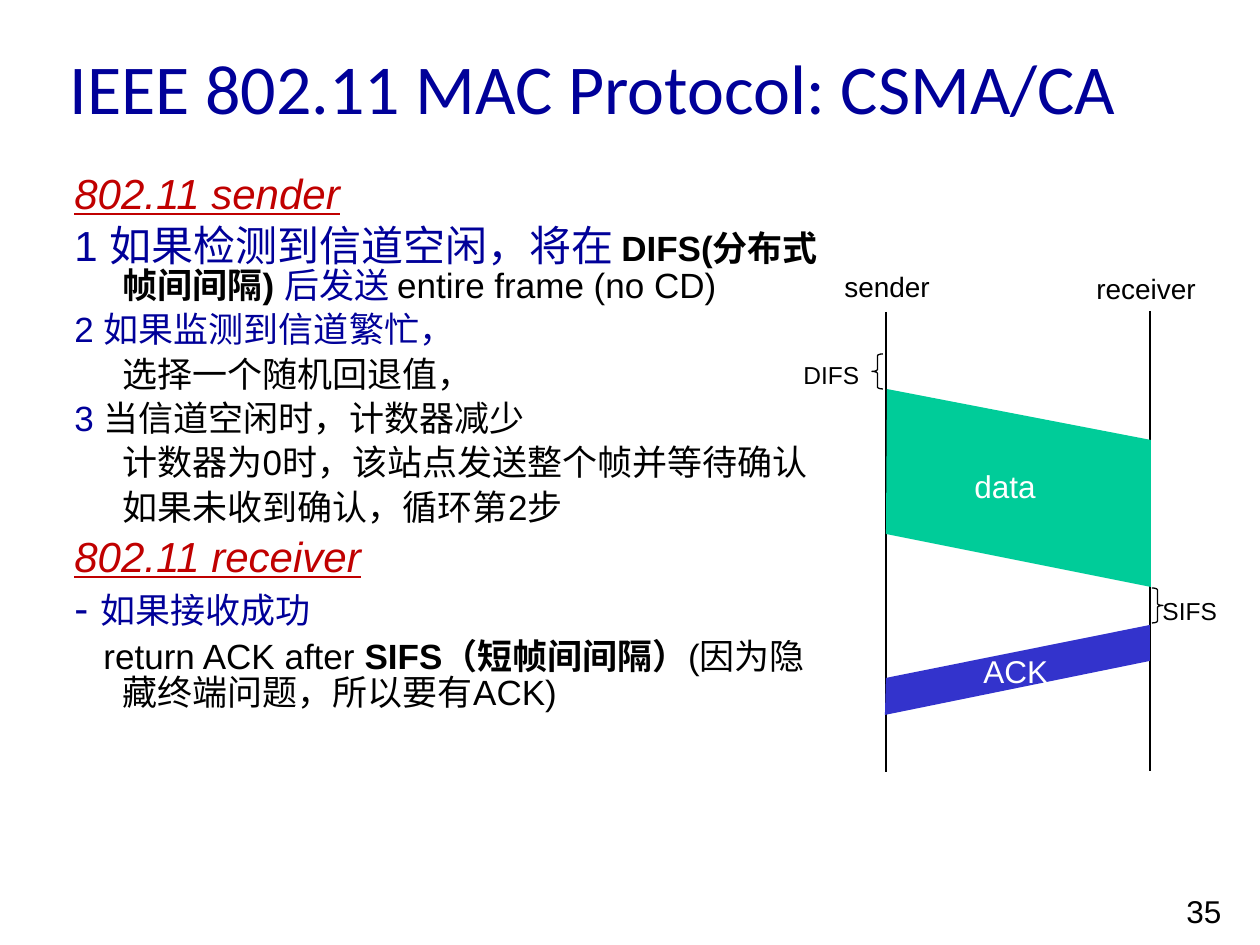
"""Build a slide on the 802.11 CSMA/CA exchange between sender and receiver."""
from dataclasses import dataclass

from lxml import etree
from pptx import Presentation
from pptx.dml.color import RGBColor
from pptx.enum.shapes import MSO_CONNECTOR, MSO_SHAPE
from pptx.enum.text import MSO_ANCHOR, MSO_AUTO_SIZE, PP_ALIGN
from pptx.oxml.ns import qn
from pptx.util import Emu, Pt

LINE = MSO_CONNECTOR.STRAIGHT
LEFT, RIGHT = MSO_SHAPE.LEFT_BRACE, MSO_SHAPE.RIGHT_BRACE
MIDDLE, TOP = MSO_ANCHOR.MIDDLE, MSO_ANCHOR.TOP
FIXED = MSO_AUTO_SIZE.NONE
START = PP_ALIGN.LEFT
SCALE = 914400 / 126


@dataclass(frozen=True)
class Theme:
    """Colours, fonts and type sizes of the slide."""

    ink: str = "000000"
    navy: str = "000099"
    red: str = "C00000"
    green: str = "00CC99"
    blue: str = "3333CC"
    white: str = "FFFFFF"
    face: str = "Arial"
    display: str = "Calibri"
    title: int = 40
    head: int = 24
    body: int = 20
    large: int = 18
    label: int = 16
    small: int = 14
    rule: float = 0.75
    pitch: float = 0.85


def px(size):
    """Turn pixels into EMU."""
    return Emu(round(size * SCALE))


def apply(target, values):
    """Set each named value on the target."""
    for name, value in values.items():
        setattr(target, name, value)


class Deck:
    """Hold the theme and the current slide, and draw its elements."""

    def __init__(self, theme):
        """Open a blank deck with one titled slide."""
        self.theme = theme
        self.file = Presentation()
        apply(self.file, {"slide_width": px(1260), "slide_height": px(945)})
        self.slide = self.file.slides.add_slide(self.file.slide_layouts[5])
        self.shapes = self.slide.shapes

    def run(self, para, text, size, color, face=None, **more):
        """Add one formatted run to a paragraph."""
        font = para.add_run()
        font.text = text
        font = font.font
        apply(font, {"name": face or self.theme.face, "size": Pt(size), **more})
        font.color.rgb = RGBColor.from_string(color)

    def title(self, text, box):
        """Fill and place the title."""
        shape = self.shapes.title
        apply(shape, dict(zip(("left", "top", "width", "height"), map(px, box))))
        frame = shape.text_frame
        apply(frame, {"vertical_anchor": MIDDLE, "auto_size": FIXED})
        para = frame.paragraphs[0]
        para.alignment = START
        theme = self.theme
        self.run(para, text, theme.title, theme.navy, theme.display)

    def frame(self, box, wrap):
        """Add a text box and return its frame."""
        frame = self.shapes.add_textbox(*map(px, box)).text_frame
        apply(frame, {"word_wrap": wrap, "vertical_anchor": TOP, "auto_size": FIXED})
        return frame

    def label(self, text, box, size, color):
        """Add a short label on one line."""
        self.run(self.frame(box, False).paragraphs[0], text, size, color)

    def body(self, box, rows):
        """Add paragraphs given as first-line indent, space before and runs."""
        frame = self.frame(box, True)
        for spot, (indent, space, runs) in enumerate(rows):
            para = frame.add_paragraph() if spot else frame.paragraphs[0]
            values = {"line_spacing": self.theme.pitch, "alignment": START}
            if spot:
                values["space_before"] = Pt(space)
            apply(para, values)
            props = para._p.get_or_add_pPr()
            props.set("marL", str(px(48)))
            props.set("indent", str(px(indent)))
            for text, form in runs:
                self.run(para, text, **form)

    def line(self, left, top, foot):
        """Draw an upright time line."""
        line = self.shapes.add_connector(LINE, *map(px, (left, top, left, foot)))
        self.stroke(line)
        etree.SubElement(line._element.spPr, qn("a:effectLst"))

    def stroke(self, shape):
        """Give a shape the thin dark line."""
        shape.line.color.rgb = RGBColor.from_string(self.theme.ink)
        shape.line.width = Pt(self.theme.rule)

    def brace(self, kind, left, top):
        """Draw a small brace beside a time line."""
        shape = self.shapes.add_shape(kind, *map(px, (left, top, 11, 35)))
        shape.shadow.inherit = False
        shape.adjustments[0] = 0.17
        shape.fill.background()
        self.stroke(shape)

    def block(self, points, color):
        """Draw a filled outline for a frame in flight."""
        first, *rest = points
        path = self.shapes.build_freeform(*first, scale=SCALE)
        path.add_line_segments(rest, close=True)
        shape = path.convert_to_shape()
        shape.shadow.inherit = False
        shape.fill.solid()
        shape.fill.fore_color.rgb = RGBColor.from_string(color)
        shape.line.fill.background()


def main():
    """Compose and save the slide."""
    theme = Theme()
    deck = Deck(theme)
    deck.title("IEEE 802.11 MAC Protocol: CSMA/CA", (57, 21, 1133, 131))

    head = {"size": theme.head, "color": theme.red, "italic": True, "underline": True}
    lead = {"size": theme.head, "color": theme.navy}
    step = {"size": theme.body, "color": theme.navy}
    text = {"size": theme.body, "color": theme.ink}
    bold = {**text, "bold": True}
    deck.body((62, 169, 776, 683), [
        (-48, 6, [("802.11 sender", head)]),
        (-48, 5, [("1 如果检测到信道空闲，将在", lead), (" ", text),
                  ("DIFS(分布式帧间间隔) ", bold), ("后发送 ", step),
                  ("entire frame (no CD)", text)]),
        (-48, 5, [("2 如果监测到信道繁忙，", step)]),
        (0, 5, [("选择一个随机回退值，", text)]),
        (-48, 5, [("3 ", step), ("当信道空闲时，计数器减少", text)]),
        (0, 5, [("计数器为0时，该站点发送整个帧并等待确认", text)]),
        (0, 5, [("如果未收到确认，循环第2步", text)]),
        (-48, 6, [("802.11 receiver", head)]),
        (-48, 5, [("- ", lead), ("如果接收成功", step)]),
        (-19, 5, [("return ACK after ", text), ("SIFS（短帧间间隔）", bold),
                  ("(因为隐藏终端问题，所以要有ACK)", text)]),
    ])

    deck.line(886, 312, 772)
    deck.line(1150, 311, 771)
    deck.block([(887, 389), (1151, 440), (1151, 587), (886, 534)], theme.green)
    deck.block([(885, 715), (1150, 661), (1150, 625), (886, 678)], theme.blue)
    deck.brace(LEFT, 872, 354)
    deck.brace(RIGHT, 1152, 588)
    for name, box, size, color in [
        ("sender", (832, 263, 111, 47), theme.label, theme.ink),
        ("receiver", (1084, 265, 125, 47), theme.label, theme.ink),
        ("DIFS", (791, 354, 81, 43), theme.small, theme.ink),
        ("SIFS", (1150, 590, 80, 43), theme.small, theme.ink),
        ("data", (962, 461, 86, 50), theme.large, theme.white),
        ("ACK", (971, 646, 90, 50), theme.large, theme.white),
        ("35", (1174, 886, 60, 50), theme.large, theme.ink),
    ]:
        deck.label(name, box, size, color)
    deck.file.save("out.pptx")


if __name__ == "__main__":
    main()
